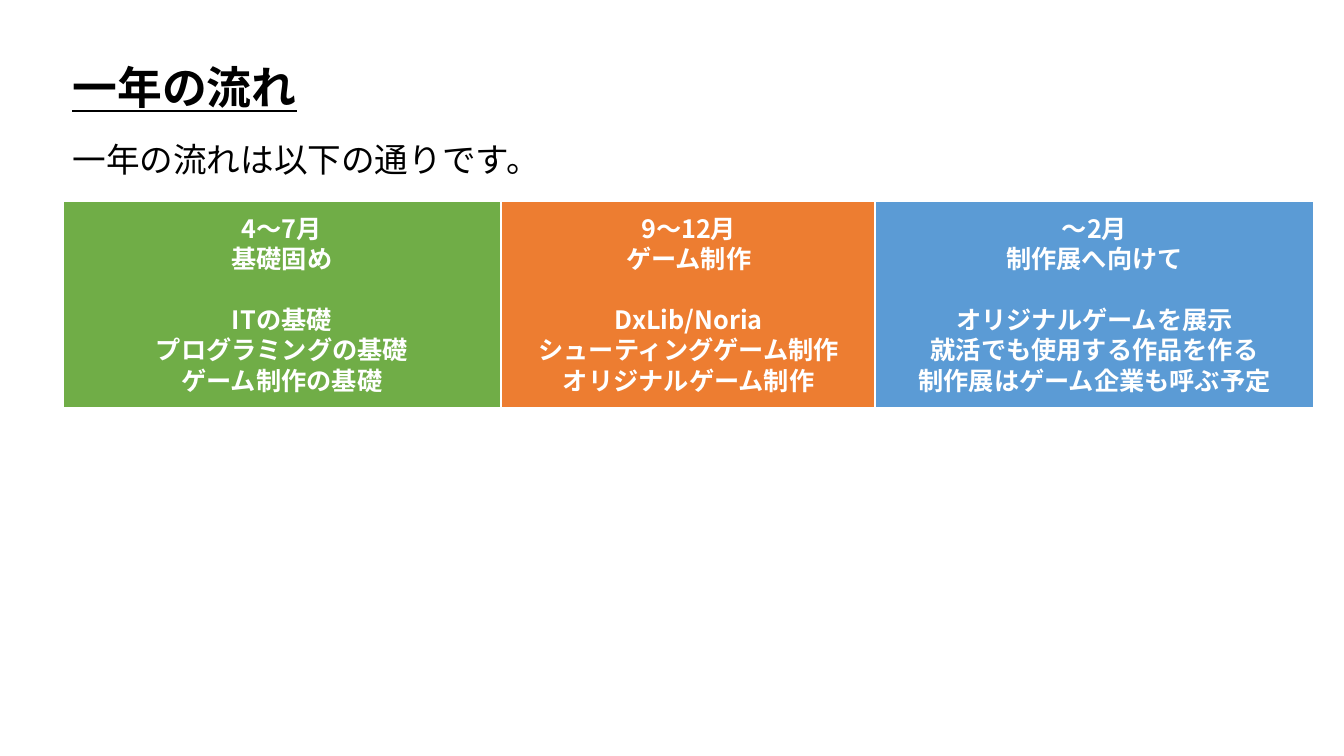
from dataclasses import dataclass

import pptx
import pptx.dml.color
import pptx.enum.lang
import pptx.enum.shapes
import pptx.enum.text
import pptx.oxml.ns
import pptx.shapes.autoshape
import pptx.slide
import pptx.text.text
import pptx.util
from lxml import etree

RGBColor = pptx.dml.color.RGBColor
Inches = pptx.util.Inches

FONT = "Noto Sans CJK JP"
BLACK = RGBColor(0x00, 0x00, 0x00)
WHITE = RGBColor(0xFF, 0xFF, 0xFF)
GREEN = RGBColor(0x70, 0xAD, 0x47)
ORANGE = RGBColor(0xED, 0x7D, 0x31)
BLUE = RGBColor(0x5B, 0x9B, 0xD5)

MARGIN_LEFT = 0.62
TERM_TOP = 1.99
TERM_HEIGHT = 2.06
TOPIC_GAP = 21.8


@dataclass(frozen=True)
class Heading:
    text: str
    top: float
    width: float
    height: float
    size: int
    emphasis: bool


@dataclass(frozen=True)
class Term:
    left: float
    width: float
    color: RGBColor
    months: str
    theme: str
    topics: tuple[str, ...]


HEADINGS = (
    Heading("一年の流れ", 0.54, 2.45, 0.64, 32, True),
    Heading("一年の流れは以下の通りです。", 1.33, 4.91, 0.5, 24, False),
)

TERMS = (
    Term(4.97, 3.72, ORANGE, "9～12月", "ゲーム制作",
         ("DxLib/Noria", "シューティングゲーム制作", "オリジナルゲーム制作")),
    Term(MARGIN_LEFT, 4.35, GREEN, "4～7月", "基礎固め",
         ("ITの基礎", "プログラミングの基礎", "ゲーム制作の基礎")),
    Term(8.68, 4.35, BLUE, "～2月", "制作展へ向けて",
         ("オリジナルゲームを展示", "就活でも使用する作品を作る", "制作展はゲーム企業も呼ぶ予定")),
)


def write_text(
    para: pptx.text.text._Paragraph,
    text: str,
    *,
    size: int,
    color: RGBColor,
    bold: bool = False,
    underline: bool = False,
    align: pptx.enum.text.PP_ALIGN = pptx.enum.text.PP_ALIGN.LEFT,
    space_before: float = 0,
) -> None:
    para.alignment = align
    if space_before:
        para.space_before = pptx.util.Pt(space_before)
    span = para.add_run()
    span.text = text
    span.font.size = pptx.util.Pt(size)
    span.font.bold = bold
    span.font.underline = underline
    span.font.color.rgb = color
    span.font.name = FONT
    span.font.language_id = pptx.enum.lang.MSO_LANGUAGE_ID.JAPANESE
    properties = span._r.get_or_add_rPr()
    etree.SubElement(properties, pptx.oxml.ns.qn("a:ea"), typeface=FONT)


def draw_heading(page: pptx.slide.Slide, heading: Heading) -> None:
    box = page.shapes.add_textbox(
        Inches(MARGIN_LEFT), Inches(heading.top), Inches(heading.width), Inches(heading.height)
    )
    box.text_frame.word_wrap = False
    box.text_frame.auto_size = pptx.enum.text.MSO_AUTO_SIZE.SHAPE_TO_FIT_TEXT
    write_text(
        box.text_frame.paragraphs[0],
        heading.text,
        size=heading.size,
        color=BLACK,
        bold=heading.emphasis,
        underline=heading.emphasis,
    )


def draw_term(page: pptx.slide.Slide, term: Term) -> None:
    box = page.shapes.add_shape(
        pptx.enum.shapes.MSO_SHAPE.RECTANGLE,
        Inches(term.left), Inches(TERM_TOP), Inches(term.width), Inches(TERM_HEIGHT),
    )
    box.shadow.inherit = False
    box.fill.solid()
    box.fill.fore_color.rgb = term.color
    box.line.color.rgb = WHITE
    box.line.width = pptx.util.Pt(1.5)
    frame = box.text_frame
    frame.word_wrap = True
    frame.vertical_anchor = pptx.enum.text.MSO_ANCHOR.MIDDLE
    for index, text in enumerate((term.months, term.theme, *term.topics)):
        para = frame.add_paragraph() if index else frame.paragraphs[0]
        write_text(
            para,
            text,
            size=18,
            color=WHITE,
            bold=True,
            align=pptx.enum.text.PP_ALIGN.CENTER,
            space_before=TOPIC_GAP if text == term.topics[0] else 0,
        )


def main() -> None:
    deck = pptx.Presentation()
    deck.slide_width = Inches(13.33)
    deck.slide_height = Inches(7.5)
    page = deck.slides.add_slide(deck.slide_layouts[6])
    for heading in HEADINGS:
        draw_heading(page, heading)
    for term in TERMS:
        draw_term(page, term)
    deck.save("out.pptx")


if __name__ == "__main__":
    main()
